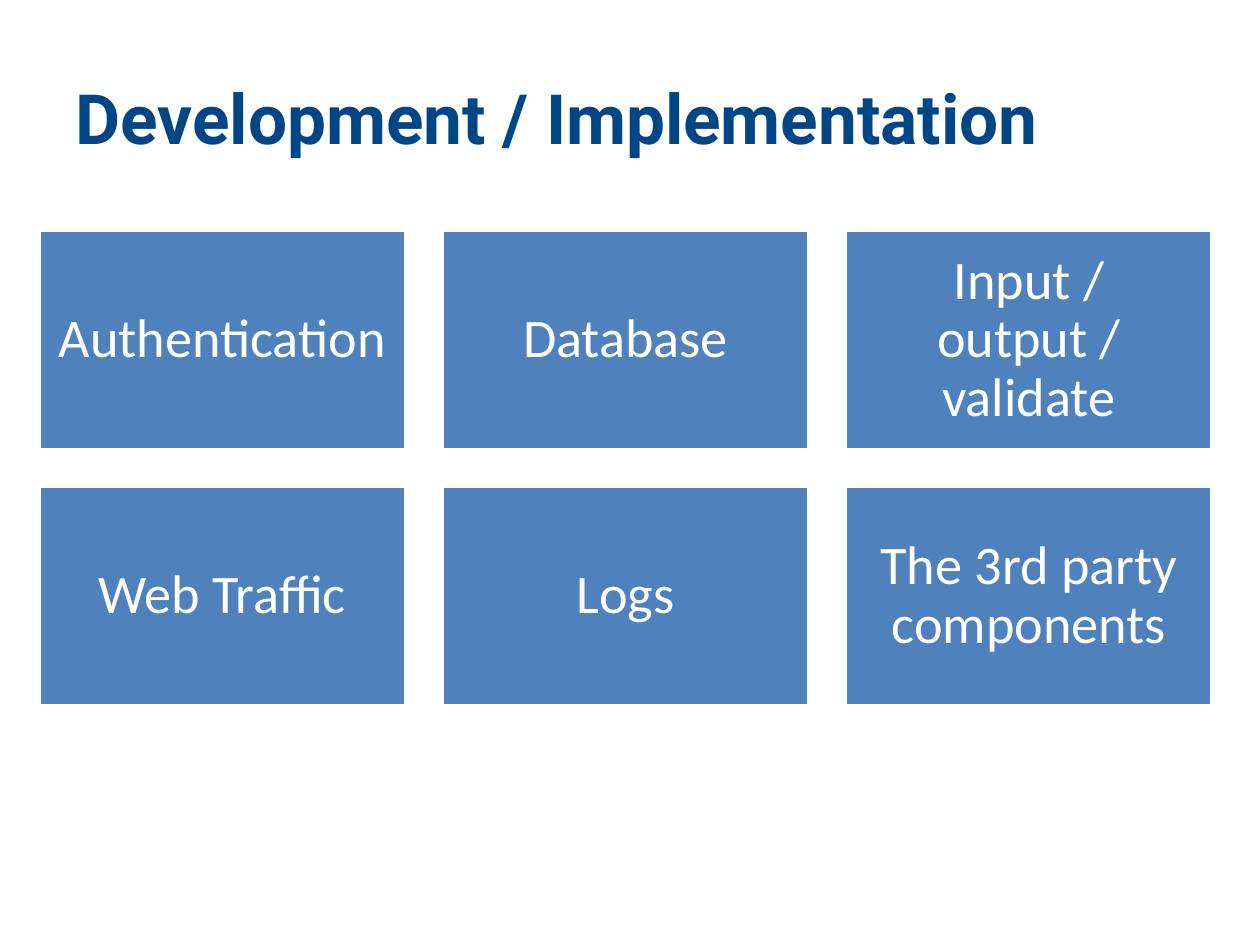
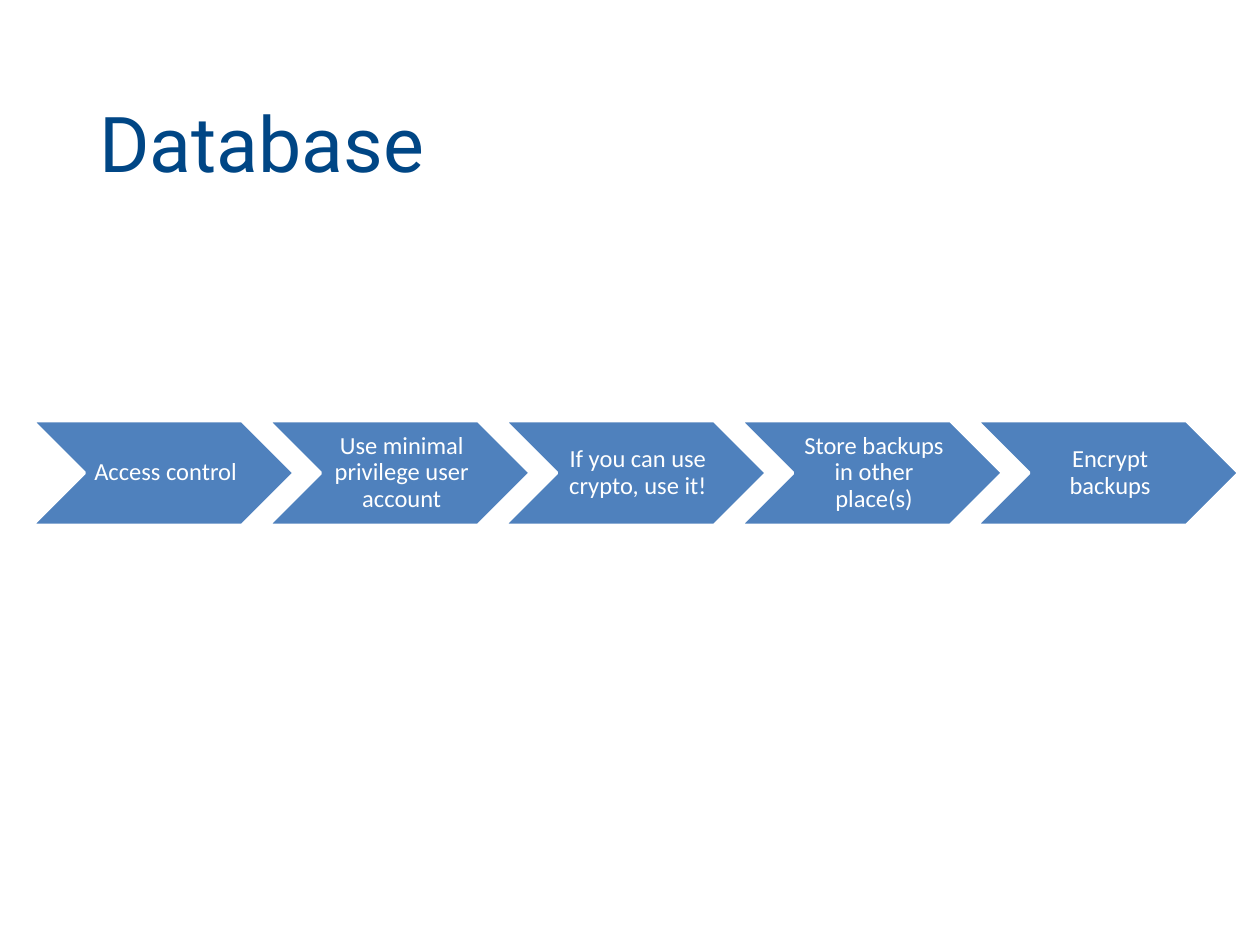
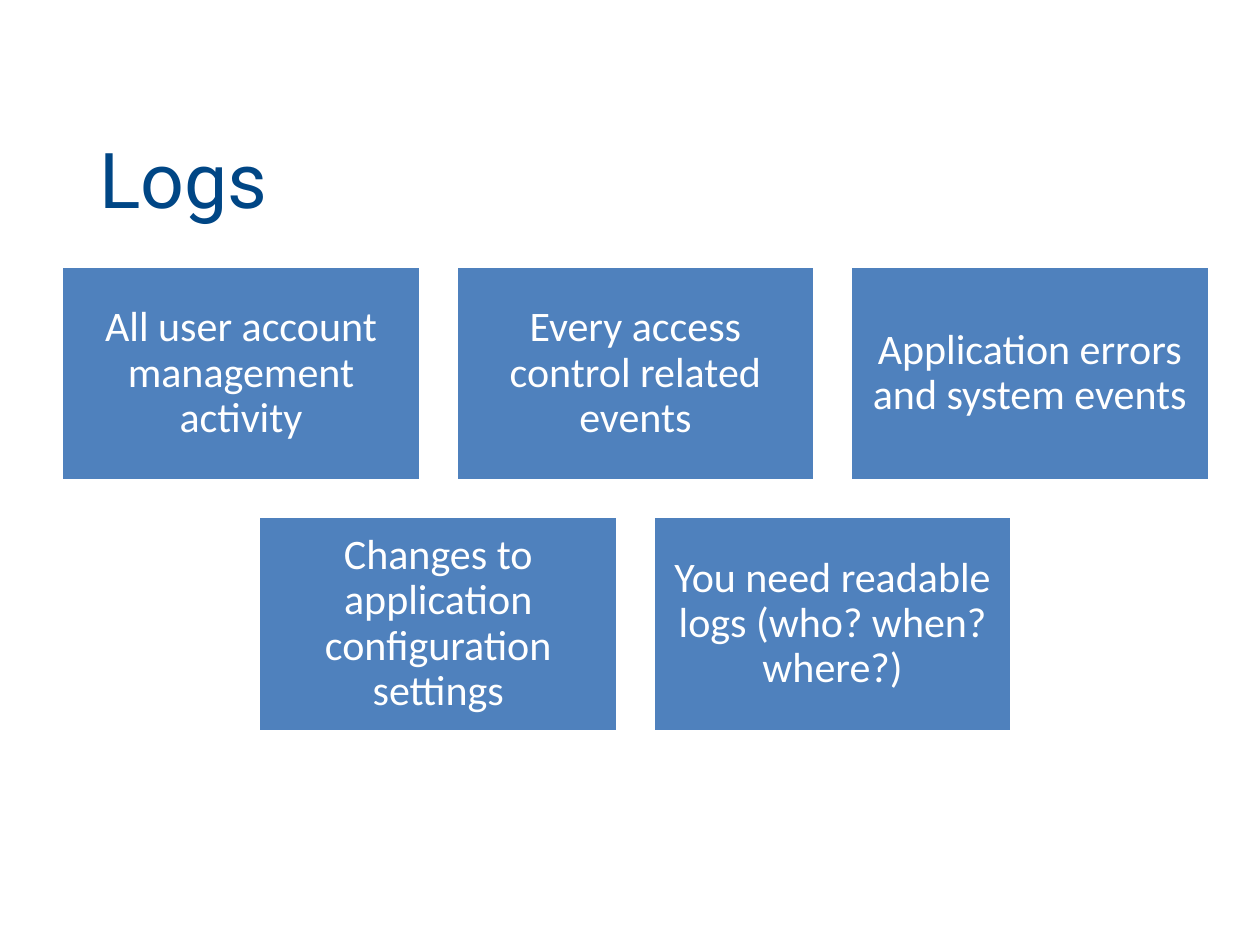
from dataclasses import dataclass

from pptx import Presentation
from pptx.dml.color import RGBColor
from pptx.enum.shapes import MSO_SHAPE
from pptx.enum.text import MSO_ANCHOR as Anchor, PP_ALIGN as Align
from pptx.slide import Slide
from pptx.util import Cm, Pt

COLORS = {"title": "004685", "card": "4F81BD", "white": "FFFFFF"}
TITLE_FONT = "Roboto"
CARD_FONT = "Calibri"
TITLE_ONLY = 5


@dataclass(frozen=True)
class Heading:
    text: str
    left: float
    top: float
    width: float
    height: float
    size: float = 44
    bold: bool = False


@dataclass(frozen=True)
class CardGrid:
    """Rows of equal cards, each row centred on one axis; lengths in cm."""
    rows: list[list[str]]
    center: float
    top: float
    width: float
    height: float
    gap: float
    font_size: float
    inset: float
    left_inset: float
    outline: MSO_SHAPE = MSO_SHAPE.RECTANGLE


TOPICS = [
    (
        Heading("Development / Implementation", 1.27, 0.76, 22.86, 3.18, size=39.6, bold=True),
        CardGrid(
            [["Authentication", "Database", "Input / output / validate"],
             ["Web Traffic", "Logs", "The 3rd party components"]],
            center=12.61, top=4.65, width=7.39, height=4.42, gap=0.74,
            font_size=31, inset=0.33, left_inset=0.33,
        ),
    ),
    (
        Heading("Database", 1.75, 1.02, 21.9, 3.68),
        CardGrid(
            [["Access control", "Use minimal privilege user account",
              "If you can use crypto, use it!", "Store backups in other place(s)",
              "Encrypt backups"]],
            center=12.81, top=8.48, width=5.29, height=2.11, gap=-0.53,
            font_size=14, inset=0.05, left_inset=0.15, outline=MSO_SHAPE.CHEVRON,
        ),
    ),
    (
        Heading("Logs", 1.75, 1.75, 21.9, 3.68),
        CardGrid(
            [["All user account management activity", "Every access control related events",
              "Application errors and system events"],
             ["Changes to application configuration settings",
              "You need readable logs (who? when? where?)"]],
            center=12.81, top=5.36, width=7.24, height=4.34, gap=0.71,
            font_size=24, inset=0.25, left_inset=0.25,
        ),
    ),
]


def color(role: str) -> RGBColor:
    return RGBColor.from_string(COLORS[role])


def set_heading(slide: Slide, heading: Heading) -> None:
    title = slide.shapes.title
    title.left, title.top = Cm(heading.left), Cm(heading.top)
    title.width, title.height = Cm(heading.width), Cm(heading.height)
    title.text_frame.text = heading.text
    title.text_frame.vertical_anchor = Anchor.MIDDLE
    paragraph = title.text_frame.paragraphs[0]
    paragraph.alignment = Align.LEFT
    paragraph.font.name = TITLE_FONT
    paragraph.font.size = Pt(heading.size)
    paragraph.font.bold = heading.bold
    paragraph.font.color.rgb = color("title")


def add_card(slide: Slide, grid: CardGrid, label: str, left: float, top: float) -> None:
    card = slide.shapes.add_shape(
        grid.outline, Cm(left), Cm(top), Cm(grid.width), Cm(grid.height))
    card.shadow.inherit = False
    card.fill.solid()
    card.fill.fore_color.rgb = color("card")
    card.line.color.rgb = color("white")
    card.line.width = Pt(2)

    frame = card.text_frame
    frame.text = label
    frame.word_wrap = True
    frame.vertical_anchor = Anchor.MIDDLE
    frame.margin_left = Cm(grid.left_inset)
    frame.margin_top = frame.margin_right = frame.margin_bottom = Cm(grid.inset)
    paragraph = frame.paragraphs[0]
    paragraph.alignment = Align.CENTER
    paragraph.line_spacing = 0.9
    paragraph.font.name = CARD_FONT
    paragraph.font.size = Pt(grid.font_size)
    paragraph.font.color.rgb = color("white")


def add_grid(slide: Slide, grid: CardGrid) -> None:
    step = grid.width + grid.gap
    for row, labels in enumerate(grid.rows):
        row_left = grid.center - (len(labels) * step - grid.gap) / 2
        top = grid.top + row * (grid.height + grid.gap)
        for column, label in enumerate(labels):
            add_card(slide, grid, label, row_left + column * step, top)


def main() -> None:
    deck = Presentation()
    deck.slide_width, deck.slide_height = Cm(25.4), Cm(19.05)
    for heading, grid in TOPICS:
        slide = deck.slides.add_slide(deck.slide_layouts[TITLE_ONLY])
        set_heading(slide, heading)
        add_grid(slide, grid)
    deck.save("out.pptx")


if __name__ == "__main__":
    main()
